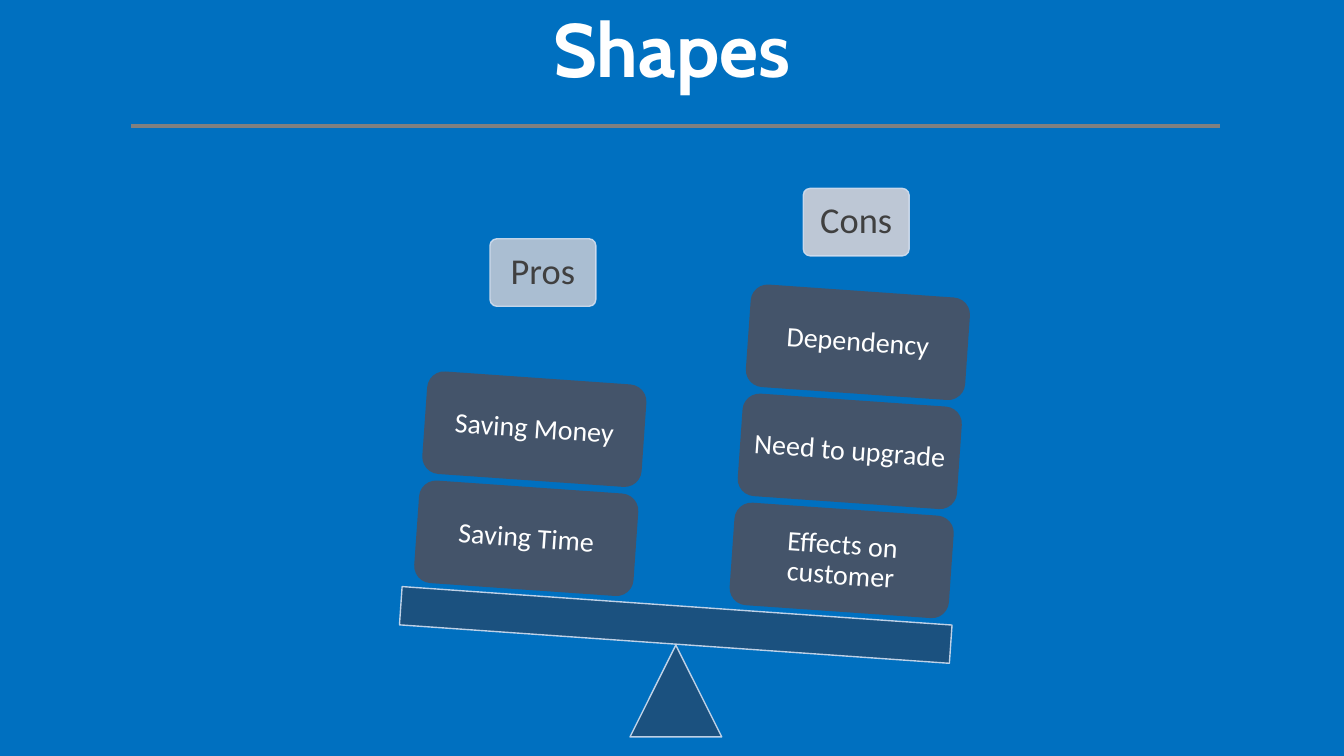
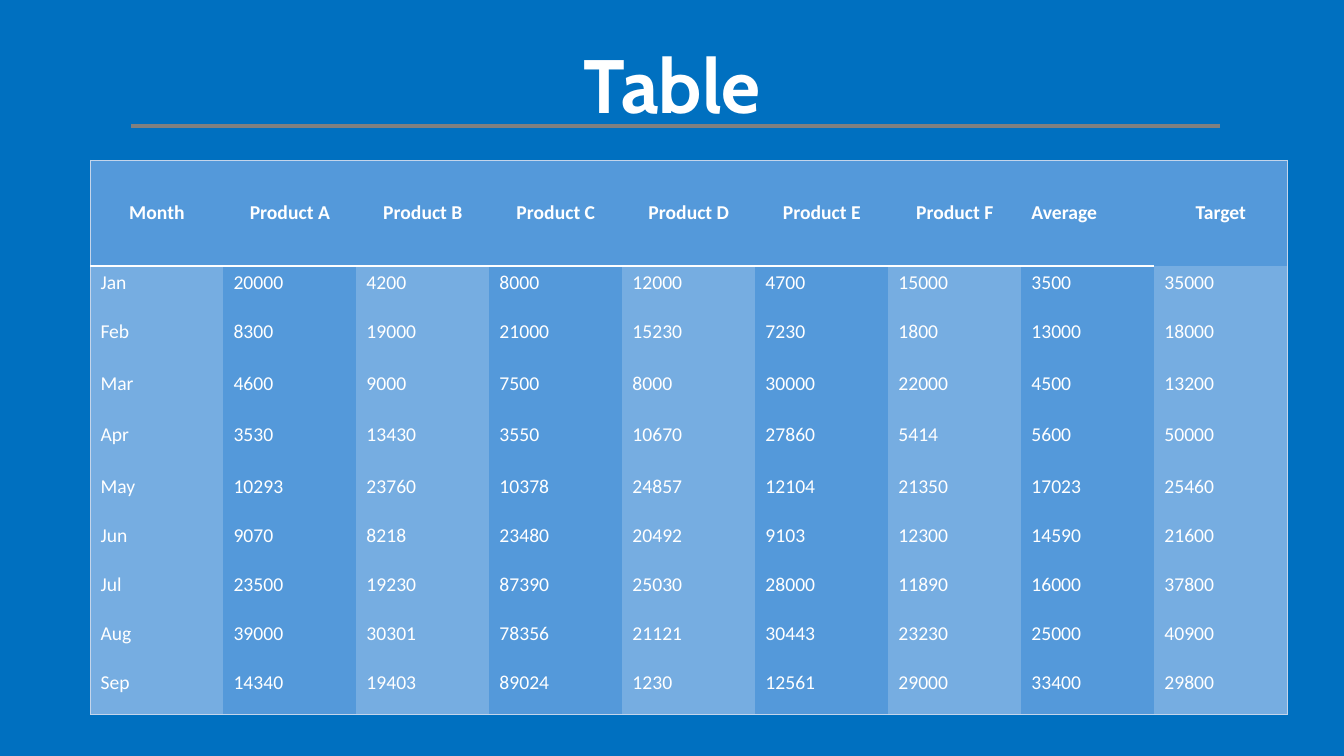
from lxml.etree import SubElement
from pptx import Presentation
from pptx.dml.color import RGBColor
from pptx.enum.shapes import MSO_CONNECTOR, MSO_SHAPE
from pptx.enum.text import MSO_ANCHOR, MSO_AUTO_SIZE, PP_ALIGN
from pptx.oxml import parse_xml
from pptx.oxml.ns import nsdecls, qn
from pptx.util import Pt

COLORS = {
    "background": "0070C0", "white": "FFFFFF", "rule": "808080",
    "label": "BDC7D5", "label text": "404040", "outline": "D2DEEF",
    "scale": "1F4E79", "block": "44546A",
    "table": "5499DA", "band": "76ADE1", "table border": "C4D5EB",
}
NO_STYLE = "{2D5ABB26-0587-4C30-8999-92F81FD0307C}"
TITLE_FONT = {"name": "Cabin", "size": Pt(54), "bold": True}
LABEL_FONT = {"name": "Calibri", "size": Pt(26)}
BLOCK_FONT = {"name": "Calibri", "size": Pt(20)}
HEADER_FONT = {"name": "Calibri", "size": Pt(14), "bold": True}
BODY_FONT = {"name": "Calibri", "size": Pt(14), "bold": False}


def write(paragraph, text, font, color, alignment, line_spacing=None):
    paragraph.alignment = alignment
    paragraph.line_spacing = line_spacing
    run = paragraph.add_run()
    run.text = text
    for name, value in font.items():
        setattr(run.font, name, value)
    run.font.color.rgb = RGBColor.from_string(COLORS[color])


def add_figure(slide, preset, box, fill, fill_alpha=100, outline=True):
    shape = slide.shapes.add_shape(preset, *map(Pt, box))
    shape.shadow.inherit = False
    shape.fill.solid()
    shape.fill.fore_color.rgb = RGBColor.from_string(COLORS[fill])
    alphas = [fill_alpha]
    if outline:
        shape.line.color.rgb = RGBColor.from_string(COLORS["outline"])
        shape.line.width = Pt(1)
        alphas.append(90)
    else:
        shape.line.fill.background()
    for color, alpha in zip(shape._element.spPr.iter(qn("a:srgbClr")), alphas):
        SubElement(color, qn("a:alpha"), val=str(alpha * 1000))
    return shape


presentation = Presentation()
presentation.slide_width = Pt(960)
presentation.slide_height = Pt(540)
background = presentation.slide_master.background.fill
background.solid()
background.fore_color.rgb = RGBColor.from_string(COLORS["background"])

slides = []
for text, box in [("Shapes", (0, 0, 960, 76)), ("Table", (84, 0, 792, 126.5))]:
    slide = presentation.slides.add_slide(presentation.slide_layouts[5])
    title = slide.shapes.title
    title.left, title.top, title.width, title.height = map(Pt, box)
    title.text_frame.auto_size = MSO_AUTO_SIZE.NONE
    title.text_frame.vertical_anchor = MSO_ANCHOR.MIDDLE
    write(title.text_frame.paragraphs[0], text, TITLE_FONT, "white", PP_ALIGN.CENTER, 0.9)
    rule = slide.shapes.add_connector(MSO_CONNECTOR.STRAIGHT, Pt(93.6), Pt(90), Pt(871.2), Pt(90))
    rule.line.color.rgb = RGBColor.from_string(COLORS["rule"])
    rule.line.width = Pt(3)
    SubElement(rule._element.spPr, qn("a:effectLst"))
    slides.append(slide)
shapes_slide, table_slide = slides

add_figure(shapes_slide, MSO_SHAPE.ISOSCELES_TRIANGLE, (450, 460.8, 65.5, 65.5), "scale", 90)
beam = add_figure(shapes_slide, MSO_SHAPE.RECTANGLE, (285.8, 432.7, 393.8, 27.4), "scale", 90)
beam.rotation = 4

stacks = [
    ("Pros", (350, 170.6), 90, (297.4, 347.8), ["Saving Time", "Saving Money"]),
    ("Cons", (573.8, 134.6), 100, (522.7, 363.6),
     ["Effects on customer", "Need to upgrade", "Dependency"]),
]
for heading, heading_corner, heading_alpha, (left, top), reasons in stacks:
    label = add_figure(shapes_slide, MSO_SHAPE.ROUNDED_RECTANGLE,
                       (*heading_corner, 75.6, 48.2), "label", heading_alpha)
    label.adjustments[0] = 0.1
    entries = [(label, heading, LABEL_FONT, "label text", 8)]
    for level, reason in enumerate(reasons):
        block = add_figure(shapes_slide, MSO_SHAPE.ROUNDED_RECTANGLE,
                           (left + level * 5.8, top - level * 77.9, 157, 73.4),
                           "block", outline=False)
        block.rotation = 4
        entries.append((block, reason, BLOCK_FONT, "white", 6))
    for shape, text, font, color, inset in entries:
        frame = shape.text_frame
        frame.word_wrap = True
        frame.vertical_anchor = MSO_ANCHOR.MIDDLE
        for side in ("left", "top", "right", "bottom"):
            setattr(frame, f"margin_{side}", Pt(inset))
        write(frame.paragraphs[0], text, font, color, PP_ALIGN.CENTER, 0.9)

rows = [
    ["Month", *(f"Product {letter}" for letter in "ABCDEF"), "Average", "Target"],
    ["Jan", 20000, 4200, 8000, 12000, 4700, 15000, 3500, 35000],
    ["Feb", 8300, 19000, 21000, 15230, 7230, 1800, 13000, 18000],
    ["Mar", 4600, 9000, 7500, 8000, 30000, 22000, 4500, 13200],
    ["Apr", 3530, 13430, 3550, 10670, 27860, 5414, 5600, 50000],
    ["May", 10293, 23760, 10378, 24857, 12104, 21350, 17023, 25460],
    ["Jun", 9070, 8218, 23480, 20492, 9103, 12300, 14590, 21600],
    ["Jul", 23500, 19230, 87390, 25030, 28000, 11890, 16000, 37800],
    ["Aug", 39000, 30301, 78356, 21121, 30443, 23230, 25000, 40900],
    ["Sep", 14340, 19403, 89024, 1230, 12561, 29000, 33400, 29800],
]
heights = [75.6, 35, *[36.8] * 3, *[35] * 5]
last_row, last_column = len(rows) - 1, len(rows[0]) - 1
table = table_slide.shapes.add_table(len(rows), len(rows[0]), Pt(64.6), Pt(114.5),
                                     Pt(855), Pt(sum(heights))).table
table._tbl.tblPr.find(qn("a:tableStyleId")).text = NO_STYLE
for column in table.columns:
    column.width = Pt(95)
for row_index, (values, height) in enumerate(zip(rows, heights)):
    table.rows[row_index].height = Pt(height)
    header = row_index == 0
    for column_index, value in enumerate(values):
        cell = table.cell(row_index, column_index)
        cell.vertical_anchor = MSO_ANCHOR.MIDDLE if header else MSO_ANCHOR.TOP
        cell.fill.solid()
        banded = not header and column_index % 2 == 0
        cell.fill.fore_color.rgb = RGBColor.from_string(COLORS["band" if banded else "table"])
        centered = header and value != "Average"
        write(cell.text_frame.paragraphs[0], str(value), HEADER_FONT if header else BODY_FONT,
              "white", PP_ALIGN.CENTER if centered else PP_ALIGN.LEFT)
        borders = []
        if column_index == 0:
            borders.append(("lnL", "table border", 0.5))
        if column_index == last_column:
            borders.append(("lnR", "table border", 0.5))
        if header:
            borders.append(("lnT", "table border", 0.5))
        if header and column_index < last_column:
            borders.append(("lnB", "white", 1.5))
        if row_index == last_row:
            borders.append(("lnB", "table border", 0.5))
        properties = cell._tc.get_or_add_tcPr()
        for position, (tag, color, width) in enumerate(borders):
            properties.insert(position, parse_xml(
                f'<a:{tag} {nsdecls("a")} w="{Pt(width)}"><a:solidFill>'
                f'<a:srgbClr val="{COLORS[color]}"/></a:solidFill></a:{tag}>'))

presentation.save("out.pptx")
